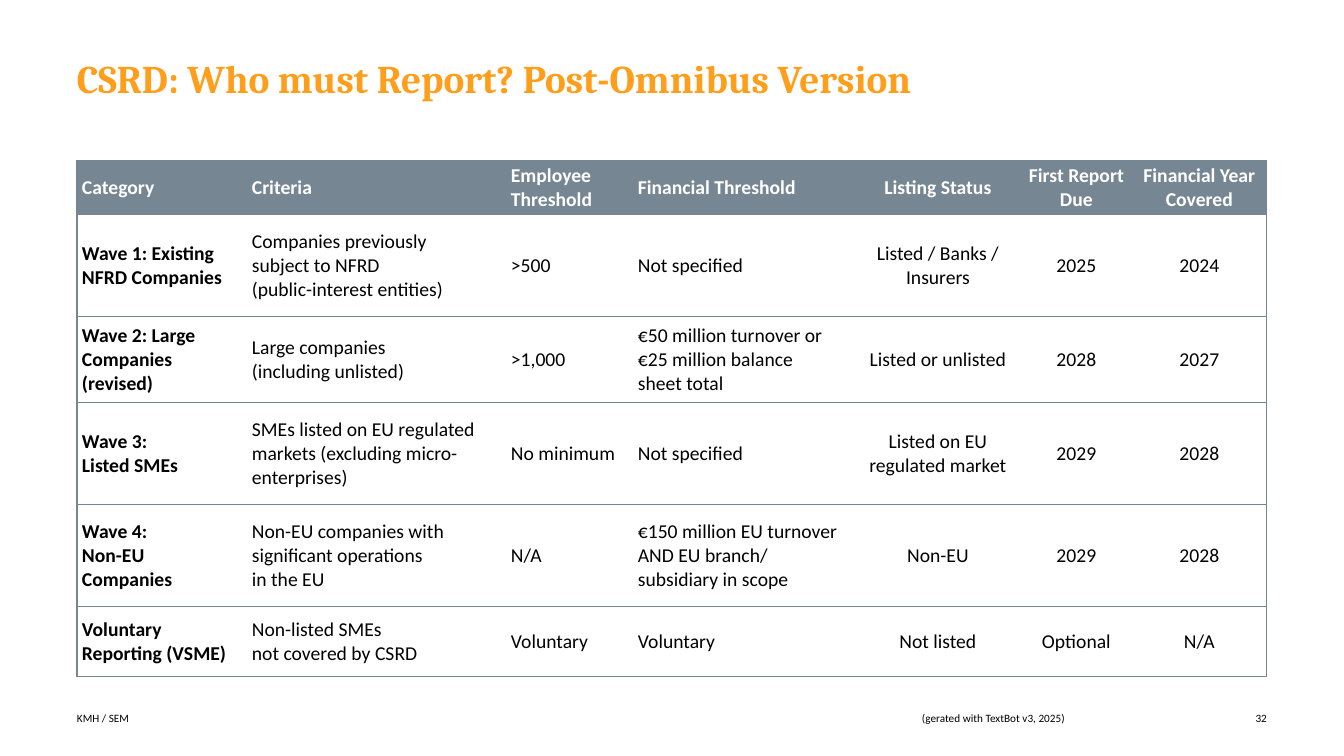
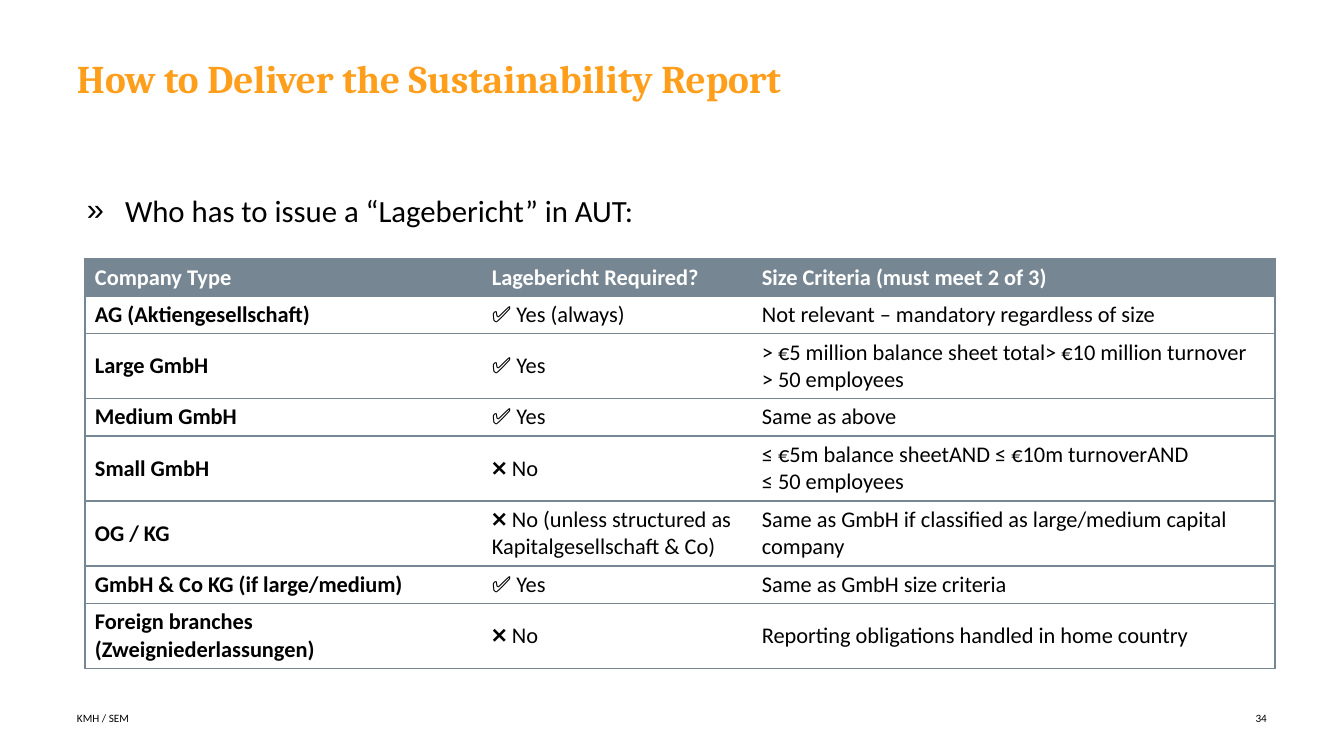
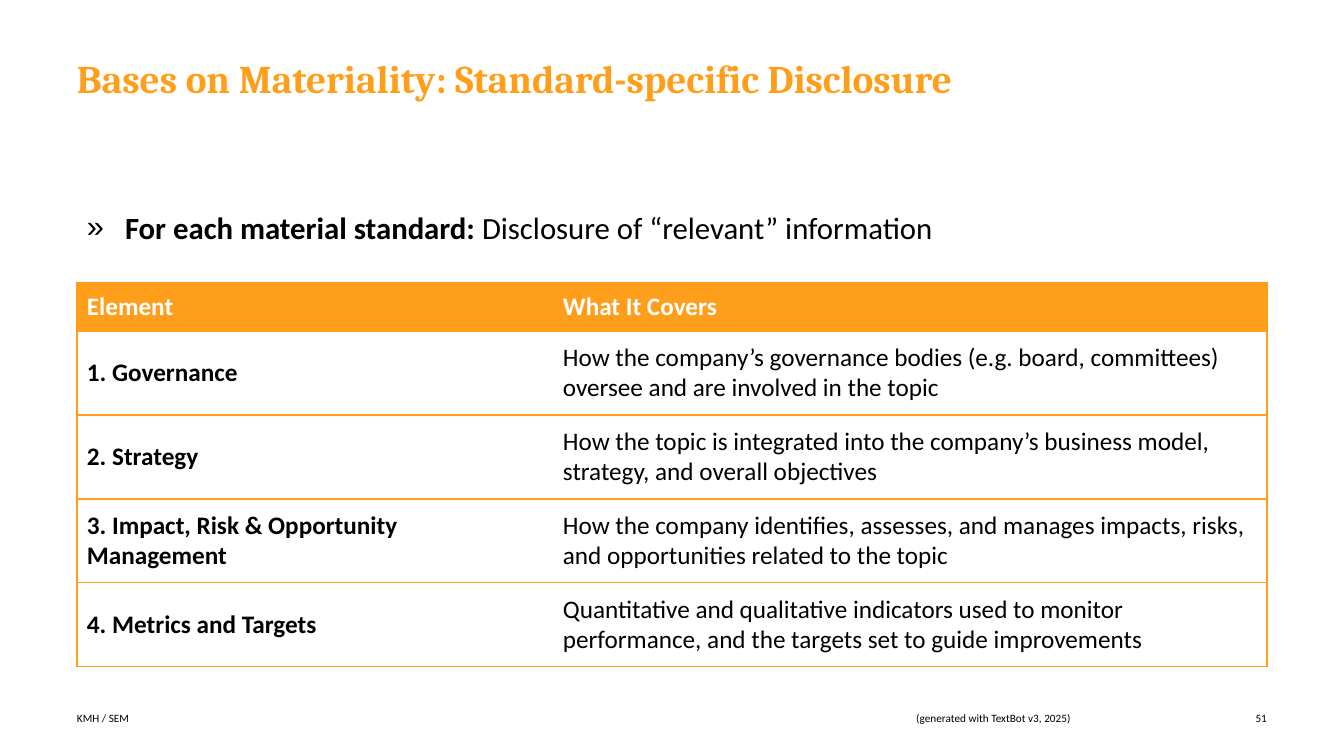
from copy import deepcopy

from lxml import etree
from pptx import Presentation
from pptx import util as u
from pptx.dml.color import RGBColor
from pptx.enum import text as t
from pptx.oxml.ns import qn

EMU_PER_PX = 914400 / 100.8
COLORS = {"orange": "FF9E1B", "slate": "768692", "black": "000000", "white": "FFFFFF"}
HEADING_FONT, BODY_FONT = "Cambria", "Calibri"
LEFT, WIDTH = 77, 1190
TITLE_ONLY, TITLE_AND_BODY = 5, 1


def px(length):
    return u.Emu(round(length * EMU_PER_PX))


def rgb(name):
    return RGBColor.from_string(COLORS[name])


def write(paragraph, content, size=14, color="black", bold=False, font=BODY_FONT,
          align=t.PP_ALIGN.LEFT, spacing=None):
    """Append formatted text to a paragraph; a newline becomes a line break."""
    paragraph.alignment = align
    if spacing:
        paragraph.line_spacing = spacing
    for index, line in enumerate(content.split("\n")):
        if index:
            paragraph.add_line_break()
        run = paragraph.add_run()
        run.text = line
        run.font.size = u.Pt(size)
        run.font.bold = bold
        run.font.name = font
        run.font.color.rgb = rgb(color)
        if index:
            line_break = run._r.getprevious()
            line_break.append(deepcopy(run._r.find(qn("a:rPr"))))


def set_borders(cell, color, sides):
    """Draw the named sides (of L, R, T, B) and clear the others."""
    properties = cell._tc.get_or_add_tcPr()
    for index, side in enumerate("LRTB"):
        line = etree.Element(qn(f"a:ln{side}"), w=str(u.Pt(1)))
        if side in sides:
            fill = etree.SubElement(line, qn("a:solidFill"))
            etree.SubElement(fill, qn("a:srgbClr"), val=COLORS[color])
        else:
            etree.SubElement(line, qn("a:noFill"))
        properties.insert(index, line)


class Deck:
    def __init__(self):
        self.presentation = Presentation()
        self.presentation.slide_width = px(1344)
        self.presentation.slide_height = px(756)
        self.slide = None

    def add_slide(self, layout, title, number, credit=None):
        layouts = self.presentation.slide_layouts
        self.slide = self.presentation.slides.add_slide(layouts[layout])
        frame = self.place(self.slide.shapes.title, LEFT, 60, 984, 88,
                           anchor=t.MSO_ANCHOR.TOP)
        write(frame.paragraphs[0], title, size=28, color="orange", bold=True,
              font=HEADING_FONT, spacing=0.9)
        self.footer("KMH / SEM", LEFT, 564, t.PP_ALIGN.LEFT)
        if credit:
            self.footer(credit, 791, 405, t.PP_ALIGN.CENTER)
        self.footer(str(number), 1212, 55, t.PP_ALIGN.RIGHT)

    def place(self, shape, left, top, width, height, inset=(0, 0),
              anchor=t.MSO_ANCHOR.MIDDLE):
        shape.left, shape.top = px(left), px(top)
        shape.width, shape.height = px(width), px(height)
        frame = shape.text_frame
        frame.word_wrap = True
        frame.auto_size = t.MSO_AUTO_SIZE.NONE
        frame.vertical_anchor = anchor
        frame.margin_left = frame.margin_right = px(inset[0])
        frame.margin_top = frame.margin_bottom = px(inset[1])
        return frame

    def footer(self, content, left, width, align):
        box = self.slide.shapes.add_textbox(0, 0, 0, 0)
        frame = self.place(box, left, 710, width, 16)
        write(frame.paragraphs[0], content, size=8, align=align)

    def bullet(self, height, *parts):
        """Fill the body placeholder with one bullet made of (text, bold) parts."""
        frame = self.place(self.slide.placeholders[1], LEFT, 179, WIDTH, height,
                           inset=(10, 5))
        paragraph = frame.paragraphs[0]
        properties = paragraph._p.get_or_add_pPr()
        properties.set("marL", str(px(38)))
        properties.set("indent", str(px(-38)))
        etree.SubElement(properties, qn("a:buChar"), char="»")
        paragraph.space_before, paragraph.space_after = u.Pt(0), u.Pt(6)
        for content, bold in parts:
            write(paragraph, content, size=22, bold=bold, spacing=1.2)

    def table(self, rows, widths, heights, top, left=LEFT, size=14, color="slate",
              inset=(10, 5), centered=()):
        """Add a table with a filled header row and a bold first column."""
        table = self.slide.shapes.add_table(
            len(rows), len(widths), px(left), px(top),
            px(sum(widths)), px(sum(heights))).table
        table.horz_banding = False
        for column, width in zip(table.columns, widths):
            column.width = px(width)
        for r, (row, height) in enumerate(zip(rows, heights)):
            table.rows[r].height = px(height)
            for c, content in enumerate(row):
                cell = table.cell(r, c)
                cell.vertical_anchor = t.MSO_ANCHOR.MIDDLE
                cell.margin_left = cell.margin_right = px(inset[0])
                cell.margin_top = cell.margin_bottom = px(inset[1])
                cell.fill.solid()
                cell.fill.fore_color.rgb = rgb("white" if r else color)
                sides = "TB" + "L" * (c == 0) + "R" * (c == len(row) - 1)
                set_borders(cell, color, sides)
                write(cell.text_frame.paragraphs[0], content, size=size,
                      color="black" if r else "white", bold=r == 0 or c == 0,
                      align=t.PP_ALIGN.CENTER if c in centered else t.PP_ALIGN.LEFT)


REPORTING_WAVES = [
    ("Category", "Criteria", "Employee Threshold", "Financial Threshold",
     "Listing Status", "First Report Due", "Financial Year Covered"),
    ("Wave 1: Existing NFRD Companies",
     "Companies previously\nsubject to NFRD\n(public-interest entities)",
     ">500", "Not specified", "Listed / Banks / Insurers", "2025", "2024"),
    ("Wave 2: Large Companies (revised)", "Large companies\n(including unlisted)",
     ">1,000", "€50 million turnover or €25 million balance\nsheet total",
     "Listed or unlisted", "2028", "2027"),
    ("Wave 3:\nListed SMEs",
     "SMEs listed on EU regulated markets (excluding micro-enterprises)",
     "No minimum", "Not specified", "Listed on EU regulated market", "2029", "2028"),
    ("Wave 4:\nNon-EU\nCompanies",
     "Non-EU companies with significant operations\nin the EU",
     "N/A", "€150 million EU turnover AND EU branch/\nsubsidiary in scope",
     "Non-EU", "2029", "2028"),
    ("Voluntary Reporting (VSME)", "Non-listed SMEs\nnot covered by CSRD",
     "Voluntary", "Voluntary", "Not listed", "Optional", "N/A"),
]

LAGEBERICHT_DUTIES = [
    ("Company Type", "Lagebericht Required?", "Size Criteria (must meet 2 of 3)"),
    ("AG (Aktiengesellschaft)", "✅ Yes (always)",
     "Not relevant – mandatory regardless of size"),
    ("Large GmbH", "✅ Yes",
     "> €5 million balance sheet total> €10 million turnover\n> 50 employees"),
    ("Medium GmbH", "✅ Yes", "Same as above"),
    ("Small GmbH", "❌ No",
     "≤ €5m balance sheetAND ≤ €10m turnoverAND\n≤ 50 employees"),
    ("OG / KG", "❌ No (unless structured as Kapitalgesellschaft & Co)",
     "Same as GmbH if classified as large/medium capital company"),
    ("GmbH & Co KG (if large/medium)", "✅ Yes", "Same as GmbH size criteria"),
    ("Foreign branches (Zweigniederlassungen)", "❌ No",
     "Reporting obligations handled in home country"),
]

DISCLOSURE_ELEMENTS = [
    ("Element", "What It Covers"),
    ("1. Governance", "How the company’s governance bodies (e.g. board, committees) "
     "oversee and are involved in the topic"),
    ("2. Strategy", "How the topic is integrated into the company’s business model, "
     "strategy, and overall objectives"),
    ("3. Impact, Risk & Opportunity Management",
     "How the company identifies, assesses, and manages impacts, risks, "
     "and opportunities related to the topic"),
    ("4. Metrics and Targets", "Quantitative and qualitative indicators used to monitor "
     "performance, and the targets set to guide improvements"),
]


def main():
    deck = Deck()

    deck.add_slide(TITLE_ONLY, "CSRD: Who must Report? Post-Omnibus Version", 32,
                   credit="(gerated with TextBot v3, 2025)")
    deck.table(REPORTING_WAVES, widths=[170, 259, 127, 222, 166, 111, 135],
               heights=[53, 102, 86, 102, 102, 70], top=161, inset=(5, 3),
               centered=(4, 5, 6))

    deck.add_slide(TITLE_AND_BODY, "How to Deliver the Sustainability Report", 34)
    deck.bullet(55, ("Who has to issue a “Lagebericht” in AUT:", False))
    one_line, two_lines = 37, 65
    deck.table(LAGEBERICHT_DUTIES, widths=[397, 270, 523],
               heights=[one_line, one_line, two_lines, one_line,
                        two_lines, two_lines, one_line, two_lines],
               left=85, top=259, size=16)

    deck.add_slide(TITLE_AND_BODY, "Bases on Materiality: Standard-specific Disclosure", 51,
                   credit="(generated with TextBot v3, 2025)")
    deck.bullet(88, ("For each material standard: ", True),
                ("Disclosure of “relevant” information", False))
    deck.table(DISCLOSURE_ELEMENTS, widths=[476, 714], heights=[48] + [84] * 4,
               top=283, size=18, color="orange")

    deck.presentation.save("out.pptx")


if __name__ == "__main__":
    main()
